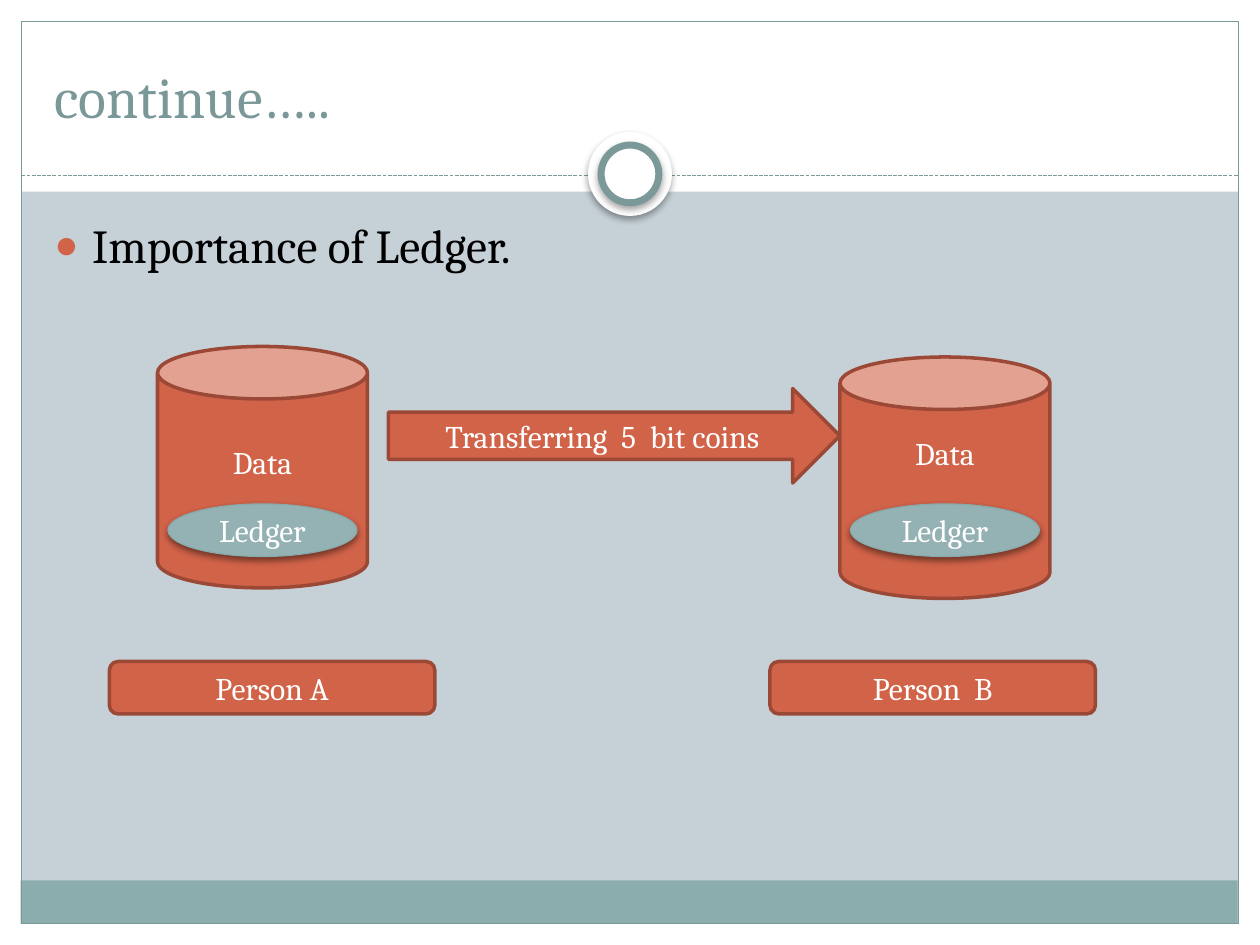
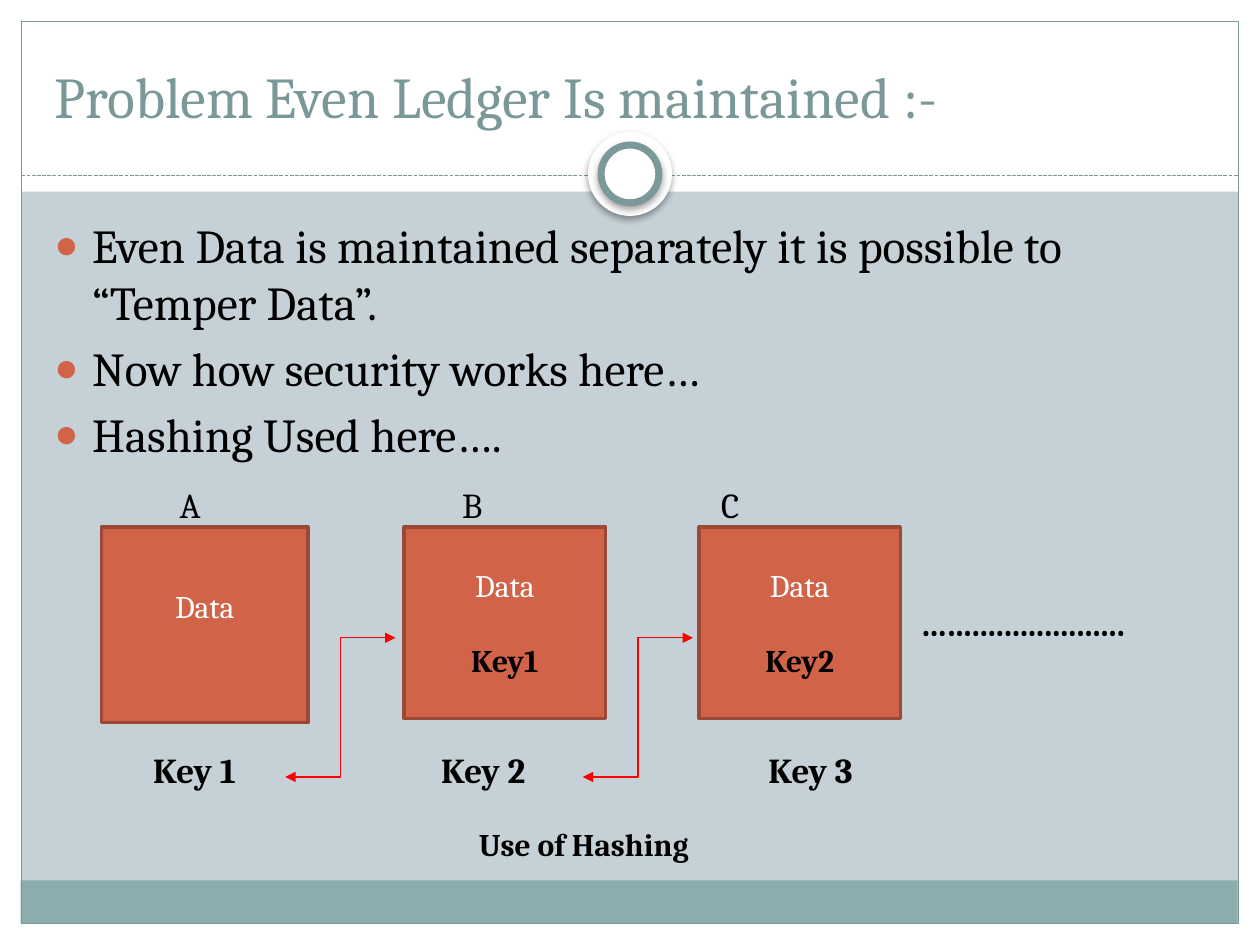
from dataclasses import dataclass

from lxml import etree
from pptx import Presentation
from pptx.dml.color import RGBColor
from pptx.enum.dml import MSO_LINE
from pptx.enum.shapes import MSO_CONNECTOR, MSO_SHAPE
from pptx.enum.text import MSO_ANCHOR, MSO_AUTO_SIZE, PP_ALIGN
from pptx.oxml.ns import qn
from pptx.util import Pt

RECT, ROUNDED, OVAL = MSO_SHAPE.RECTANGLE, MSO_SHAPE.ROUNDED_RECTANGLE, MSO_SHAPE.OVAL
CAN, ARROW = MSO_SHAPE.CAN, MSO_SHAPE.RIGHT_ARROW
STRAIGHT, ELBOW = MSO_CONNECTOR.STRAIGHT, MSO_CONNECTOR.ELBOW
TOP, MIDDLE, BOTTOM = MSO_ANCHOR.TOP, MSO_ANCHOR.MIDDLE, MSO_ANCHOR.BOTTOM
LEFT, CENTER = PP_ALIGN.LEFT, PP_ALIGN.CENTER
DASH = MSO_LINE.SQUARE_DOT
NO_FIT = MSO_AUTO_SIZE.NONE
TITLE_ONLY = 5


@dataclass(frozen=True)
class Theme:
    font: str = "Cambria"
    background: str = "C5D1D7"
    white: str = "FFFFFF"
    black: str = "000000"
    footer: str = "8CADAE"
    frame: str = "7C999A"
    title: str = "7B9899"
    accent: str = "D16349"
    accent_edge: str = "9B4936"
    ledger: str = "94B2B3"
    ledger_edge: str = "88AAAB"
    arrow: str = "FF0000"
    title_size: float = 33
    body_size: float = 27
    label_size: float = 20
    shape_size: float = 18
    line_height: float = 21.4


def set_values(target, values):
    for name, value in values.items():
        setattr(target, name, value)


def add_child(parent, tag, **attributes):
    return etree.SubElement(parent, qn(tag), attributes)


class Painter:
    """Holds the theme and the slide being drawn."""

    def __init__(self, deck, theme):
        self.deck, self.theme = deck, theme
        self.layout = deck.slide_layouts[TITLE_ONLY]
        self.slide = None

    def new_slide(self, title):
        self.slide = self.deck.slides.add_slide(self.layout)
        heading = self.slide.shapes.title
        set_values(heading, {"left": Pt(24), "top": Pt(18),
                             "width": Pt(672), "height": Pt(60)})
        self.set_text(heading, [title], self.theme.title_size, self.theme.title,
                      anchor=BOTTOM)

    def set_text(self, box, lines, size, color, align=LEFT, anchor=TOP, bold=False,
                 bottom=3.6):
        frame = box.text_frame
        set_values(frame, {"word_wrap": True, "auto_size": NO_FIT,
                           "vertical_anchor": anchor,
                           "margin_left": Pt(7.2), "margin_right": Pt(7.2),
                           "margin_top": Pt(3.6), "margin_bottom": Pt(bottom)})
        frame.text = "\n".join(lines)
        for para in frame.paragraphs:
            para.alignment = align
            for span in para.runs:
                set_values(span.font, {"name": self.theme.font, "size": Pt(size),
                                       "bold": bold})
                span.font.color.rgb = RGBColor.from_string(color)
        return frame

    def stroke(self, line, color, width):
        line.color.rgb = RGBColor.from_string(color)
        line.width = Pt(width)

    def shape(self, kind, area, fill=None, edge=None, width=2, shadow=0):
        shape = self.slide.shapes.add_shape(kind, *map(Pt, area))
        shape.shadow.inherit = False
        if fill:
            shape.fill.solid()
            shape.fill.fore_color.rgb = RGBColor.from_string(fill)
        else:
            shape.fill.background()
        if edge:
            self.stroke(shape.line, edge, width)
        else:
            shape.line.fill.background()
        if shadow:
            effects = shape._element.spPr.find(qn("a:effectLst"))
            outer = add_child(effects, "a:outerShdw", blurRad=str(Pt(4)),
                              dist=str(Pt(2)), dir="5400000", rotWithShape="0")
            color = add_child(outer, "a:srgbClr", val=self.theme.black)
            add_child(color, "a:alpha", val=str(shadow * 1000))
        return shape

    def block(self, kind, area, text, lift=0, key=None):
        """Draws an accent shape; lift raises its text by half that many lines."""
        theme = self.theme
        shape = self.shape(kind, area, theme.accent, theme.accent_edge)
        lines = [text, key] if key else [text]
        frame = self.set_text(shape, lines, theme.shape_size, theme.white, CENTER,
                              MIDDLE, bottom=3.6 + lift * theme.line_height)
        if key:
            para = frame.paragraphs[1]
            para.space_before = Pt(theme.line_height)
            font = para.runs[0].font
            font.bold = True
            font.color.rgb = RGBColor.from_string(theme.black)

    def ledger(self, left, top):
        theme = self.theme
        oval = self.shape(OVAL, (left, top, 108, 30), theme.ledger,
                          theme.ledger_edge, 0.75, shadow=45)
        self.set_text(oval, ["Ledger"], theme.shape_size, theme.white, CENTER, MIDDLE)

    def label(self, left, top, text, width=88, size=None, bold=True):
        box = self.slide.shapes.add_textbox(*map(Pt, (left, top, width, 31)))
        self.set_text(box, [text], size or self.theme.label_size, self.theme.black,
                      bold=bold)

    def bullets(self, lines):
        box = self.slide.shapes.add_textbox(Pt(24), Pt(120), Pt(670), Pt(360))
        frame = self.set_text(box, lines, self.theme.body_size, self.theme.black)
        for para in frame.paragraphs:
            para.space_before = Pt(5.4)
            props = para._p.get_or_add_pPr()
            props.set("marL", str(Pt(21.6)))
            props.set("indent", str(Pt(-21.6)))
            color = add_child(props, "a:buClr")
            add_child(color, "a:srgbClr", val=self.theme.accent)
            add_child(props, "a:buSzPct", val="85000")
            add_child(props, "a:buFont", typeface="Arial")
            add_child(props, "a:buChar", char="●")

    def connector(self, kind, start, end, color, arrows=False):
        connector = self.slide.shapes.add_connector(kind, *map(Pt, start + end))
        self.stroke(connector.line, color, 0.75)
        add_child(connector._element.spPr, "a:effectLst")
        if arrows:
            line = connector.line._get_or_add_ln()
            for tag in ("a:headEnd", "a:tailEnd"):
                add_child(line, tag, type="triangle")
        return connector

    def share_frame(self):
        """Draws the bands, border and ring, then hands them to the layout."""
        theme = self.theme
        for area in ((0, 528, 720, 12), (0, 0, 720, 109.5),
                     (0, 0, 12, 540), (708, 0, 12, 540)):
            self.shape(RECT, area, theme.white)
        self.shape(RECT, (11.75, 503, 695.5, 24.75), theme.footer)
        self.shape(RECT, (12.25, 12.25, 695.5, 515.5), edge=theme.frame, width=0.75)
        rule = self.connector(STRAIGHT, (12.25, 100.5), (707.75, 100.5), theme.frame)
        rule.line.dash_style = DASH
        for size, edge in ((48, None), (33, theme.frame)):
            area = (360 - size / 2, 99.4 - size / 2, size, size)
            self.shape(OVAL, area, theme.white, edge, 4, shadow=35)

        for holder in list(self.layout.placeholders)[1:]:
            holder._element.getparent().remove(holder._element)
        for shape in list(self.slide.shapes):
            if not shape.is_placeholder:
                self.layout.shapes._spTree.append(shape._element)
        fill = self.layout.background.fill
        fill.solid()
        fill.fore_color.rgb = RGBColor.from_string(theme.background)


def draw_transfer(painter):
    painter.bullets(["Importance of Ledger."])
    for left, top, lift in ((90, 198, 1), (480, 204, 2)):
        painter.block(CAN, (left, top, 120, 138), "Data", lift)
        painter.ledger(left + 6, 288)
    for left, person in ((62.5, "Person A"), (440, "Person  B")):
        painter.block(ROUNDED, (left, 378, 186, 30), person)
    painter.block(ARROW, (222, 222, 258, 54), "Transferring  5  bit coins")


def draw_hashing(painter):
    painter.bullets(["Even Data is maintained separately it is possible to “Temper Data”.",
                     "Now how security works here…",
                     "Hashing Used here…."])
    for left, name in ((95.5, "A"), (257, "B"), (405, "C")):
        painter.label(left, 273, name, width=40, bold=False)
    painter.block(RECT, (58, 301, 118, 112), "Data", lift=1)
    for left, key in ((231, "Key1"), (399.5, "Key2")):
        painter.block(RECT, (left, 301, 115, 109.5), "Data", key=key)
    for left, key in ((80.5, "Key 1"), (245, "Key 2"), (432, "Key 3")):
        painter.label(left, 424, key)
    for left in (163, 333):
        painter.connector(ELBOW, (left, 444), (left + 63, 364.5),
                          painter.theme.arrow, arrows=True)
    painter.label(519, 340, "…......................", width=180)
    painter.label(266.5, 468, "Use of Hashing", width=158,
                  size=painter.theme.shape_size)


def main():
    deck = Presentation()
    deck.slide_width, deck.slide_height = Pt(720), Pt(540)
    painter = Painter(deck, Theme())
    painter.new_slide("continue…..")
    painter.share_frame()
    draw_transfer(painter)
    painter.new_slide("Problem Even Ledger Is maintained :-")
    draw_hashing(painter)
    deck.save("out.pptx")


if __name__ == "__main__":
    main()
